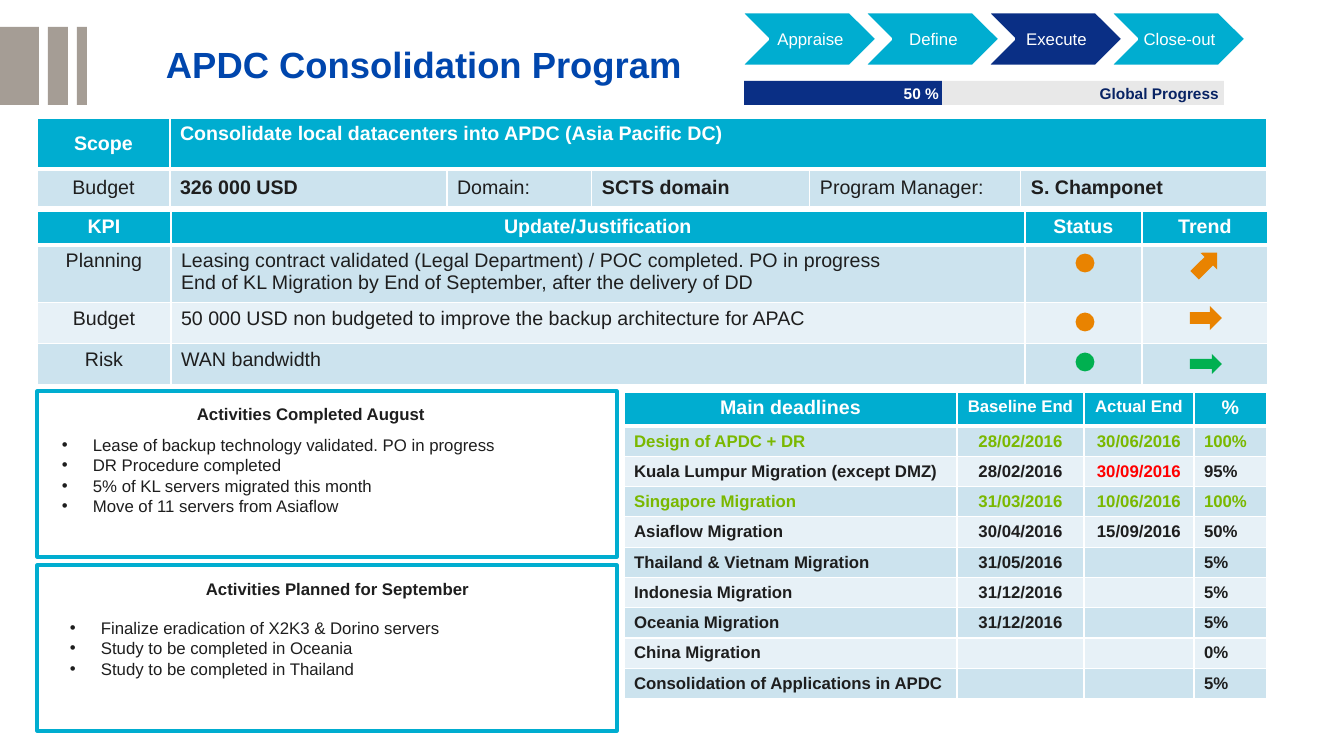
from lxml.etree import SubElement
from pptx import Presentation
from pptx.dml.color import RGBColor
from pptx.enum.shapes import MSO_SHAPE
from pptx.enum.text import MSO_ANCHOR, PP_ALIGN
from pptx.oxml.ns import qn
from pptx.util import Pt

WHITE = RGBColor(0xFF, 0xFF, 0xFF)
INK = RGBColor(0x1E, 0x1E, 0x1E)
CYAN = RGBColor(0x00, 0xAD, 0xD0)
NAVY = RGBColor(0x0A, 0x2F, 0x85)
LABEL_NAVY = RGBColor(0x08, 0x23, 0x64)
TITLE_BLUE = RGBColor(0x00, 0x46, 0xAD)
TAUPE = RGBColor(0xA5, 0x9D, 0x95)
GREY = RGBColor(0xE8, 0xE8, 0xE8)
BAND_DARK = RGBColor(0xCC, 0xE3, 0xEE)
BAND_LIGHT = RGBColor(0xE7, 0xF1, 0xF7)
ORANGE = RGBColor(0xE9, 0x83, 0x00)
GREEN = RGBColor(0x00, 0xB0, 0x50)
LIME = RGBColor(0x7A, 0xB8, 0x00)
RED = RGBColor(0xFF, 0x00, 0x00)
LEFT, CENTER, RIGHT = PP_ALIGN.LEFT, PP_ALIGN.CENTER, PP_ALIGN.RIGHT
TOP, MIDDLE = MSO_ANCHOR.TOP, MSO_ANCHOR.MIDDLE

TITLE = "APDC Consolidation Program"
STRIPES = [(0, 39), (48, 20), (77, 10)]
PHASES = ["Appraise", "Define", "Execute", "Close-out"]
CURRENT_PHASE = "Execute"
PROGRESS = [
    ("Global Progress", 480, GREY, LABEL_NAVY, 5),
    ("50 %", 198, NAVY, WHITE, 3),
]
SCOPE = [
    ["Scope", "Consolidate local datacenters into APDC (Asia Pacific DC)", "", "", "", ""],
    ["Budget", "326 000 USD", "Domain:", "SCTS domain", "Program Manager:", "S. Champonet"],
]
KPIS = [
    ["KPI", "Update/Justification", "Status", "Trend"],
    ["Planning", "Leasing contract validated (Legal Department) / POC completed. PO in progress\n"
     "End of KL Migration by End of September, after the delivery of DD", "", ""],
    ["Budget", "50 000 USD non budgeted to improve the backup architecture for APAC", "", ""],
    ["Risk", "WAN bandwidth", "", ""],
]
INDICATORS = [
    (ORANGE, 255, 252, 24, 315),
    (ORANGE, 314, 306, 24, 0),
    (GREEN, 354, 354, 20, 0),
]
DEADLINES = [
    ["Main deadlines", "Baseline End", "Actual End", "%"],
    ["Design of APDC + DR", "28/02/2016", "30/06/2016", "100%"],
    ["Kuala Lumpur Migration (except DMZ)", "28/02/2016", "30/09/2016", "95%"],
    ["Singapore Migration", "31/03/2016", "10/06/2016", "100%"],
    ["Asiaflow Migration", "30/04/2016", "15/09/2016", "50%"],
    ["Thailand & Vietnam Migration", "31/05/2016", "", "5%"],
    ["Indonesia Migration", "31/12/2016", "", "5%"],
    ["Oceania Migration", "31/12/2016", "", "5%"],
    ["China Migration", "", "", "0%"],
    ["Consolidation of Applications in APDC", "", "", "5%"],
]
LATE_END = "30/09/2016"
ACTIVITIES = [
    ("Activities Completed August", 391, (187, 399), (52, 430), [
        "Lease of backup technology validated. PO in progress",
        "DR Procedure completed",
        "5% of KL servers migrated this month",
        "Move of 11 servers from Asiaflow",
    ]),
    ("Activities Planned for September", 565, (196, 574), (60, 613), [
        "Finalize eradication of X2K3 & Dorino servers",
        "Study to be completed in Oceania",
        "Study to be completed in Thailand",
    ]),
]


def px(n):
    return round(n * 914400 / 100.8)


def write(tf, text, size, color, bold=False, align=LEFT, anchor=TOP):
    tf.text = text
    tf.vertical_anchor = anchor
    for p in tf.paragraphs:
        p.alignment = align
        for r in p.runs:
            r.font.name, r.font.size, r.font.bold = "Arial", Pt(size), bold
            r.font.color.rgb = color
        if not p.runs:
            SubElement(p._p, qn("a:endParaRPr"), sz=str(size * 100))


def set_insets(tf, left, top, right, bottom):
    tf.margin_left, tf.margin_top = px(left), px(top)
    tf.margin_right, tf.margin_bottom = px(right), px(bottom)


def add_box(kind, x, y, w, h, fill, line=None, weight=2):
    sp = slide.shapes.add_shape(kind, px(x), px(y), px(w), px(h))
    sp.shadow.inherit = False
    sp.fill.solid()
    sp.fill.fore_color.rgb = fill
    if line is None:
        sp.line.fill.background()
    else:
        sp.line.color.rgb = line
        sp.line.width = Pt(weight)
    return sp


def add_text(x, y, w, h, text, size, color, **style):
    tf = slide.shapes.add_textbox(px(x), px(y), px(w), px(h)).text_frame
    tf.word_wrap = True
    write(tf, text, size, color, **style)
    return tf


def set_borders(cell, top, bottom):
    tcPr = cell._tc.get_or_add_tcPr()
    for i, (side, weight) in enumerate([("L", 1), ("R", 1), ("T", top), ("B", bottom)]):
        ln = SubElement(tcPr, qn(f"a:ln{side}"), w=str(Pt(weight)))
        SubElement(SubElement(ln, qn("a:solidFill")), qn("a:srgbClr"), val=str(WHITE))
        tcPr.insert(i, ln)


def add_grid(x, y, widths, heights, rows, style):
    tbl = slide.shapes.add_table(
        len(rows), len(widths), px(x), px(y), px(sum(widths)), px(sum(heights))).table
    tbl.horz_banding = False
    for col, w in zip(tbl.columns, widths):
        col.width = px(w)
    for r, (row, h) in enumerate(zip(rows, heights)):
        tbl.rows[r].height = px(h)
        for c, text in enumerate(row):
            cell = tbl.cell(r, c)
            size, color, bold, align, anchor = style(r, c)
            write(cell.text_frame, text, size, color, bold, align)
            cell.vertical_anchor = anchor
            cell.fill.solid()
            cell.fill.fore_color.rgb = CYAN if r == 0 else BAND_DARK if r % 2 else BAND_LIGHT
            set_borders(cell, 3 if r == 1 else 1, 3 if r == 0 else 1)
    return tbl


def scope_style(r, c):
    return (14, INK if r else WHITE, r == 0 or c % 2 == 1,
            LEFT if c else CENTER, MIDDLE if r or c == 0 else TOP)


def kpi_style(r, c):
    return 14, INK if r else WHITE, r == 0, LEFT if r and c == 1 else CENTER, TOP


def deadline_style(r, c):
    if r == 0:
        return 12 if c in (1, 2) else 14, WHITE, True, CENTER, TOP
    done = DEADLINES[r][3] == "100%"
    late = DEADLINES[r][c] == LATE_END
    color = LIME if done else RED if late else INK
    return 12, color, True, CENTER if c in (1, 2) else LEFT, MIDDLE


prs = Presentation()
prs.slide_width, prs.slide_height = px(1344), px(756)
slide = prs.slides.add_slide(prs.slide_layouts[6])

for x, w in STRIPES:
    add_box(MSO_SHAPE.RECTANGLE, x, 27, w, 78, TAUPE)

tf = add_text(166, 28, 1145, 77, TITLE, 26, TITLE_BLUE, bold=True, anchor=MIDDLE)
set_insets(tf, 0, 0, 0, 0)
tf.paragraphs[0].line_spacing = 0.9

for label, w, fill, color, gap in PROGRESS:
    tf = add_box(MSO_SHAPE.RECTANGLE, 744, 81, w, 24, fill).text_frame
    set_insets(tf, 0, 0, gap, 0)
    write(tf, label, 11, color, bold=True, align=RIGHT, anchor=MIDDLE)

for i, phase in enumerate(PHASES):
    fill = NAVY if phase == CURRENT_PHASE else CYAN
    tf = add_box(MSO_SHAPE.CHEVRON, 741 + 123 * i, 12, 136, 54, fill, WHITE).text_frame
    set_insets(tf, 5, 2, 2, 2)
    tf.word_wrap = False
    write(tf, phase, 12, WHITE, align=CENTER, anchor=MIDDLE)

tbl = add_grid(37, 118, [133, 277, 145, 218, 211, 246], [51, 38], SCOPE, scope_style)
tbl.cell(0, 1).merge(tbl.cell(0, 5))
add_grid(37, 211, [134, 854, 117, 126], [34, 57, 41, 41], KPIS, kpi_style)
add_grid(624, 392, [333, 127, 110, 73], [34] + [30] * 9, DEADLINES, deadline_style)

for color, dot_y, arrow_y, arrow_h, angle in INDICATORS:
    add_box(MSO_SHAPE.OVAL, 1077, dot_y, 16, 16, color, color)
    add_box(MSO_SHAPE.RIGHT_ARROW, 1190, arrow_y, 32, arrow_h, color).rotation = angle

for heading, y, heading_at, list_at, items in ACTIVITIES:
    add_box(MSO_SHAPE.RECTANGLE, 37, y, 580, 166, WHITE, CYAN, 2.25)
    add_text(*heading_at, 310, 30, heading, 12, INK, bold=True)
    tf = add_text(*list_at, 539, 92, "\n".join(items), 12, INK)
    for p in tf.paragraphs:
        pPr = p._p.get_or_add_pPr()
        pPr.set("marL", str(px(31)))
        pPr.set("indent", str(-px(31)))
        SubElement(pPr, qn("a:buFont"), typeface="Arial")
        SubElement(pPr, qn("a:buChar"), char="•")

prs.save("out.pptx")
